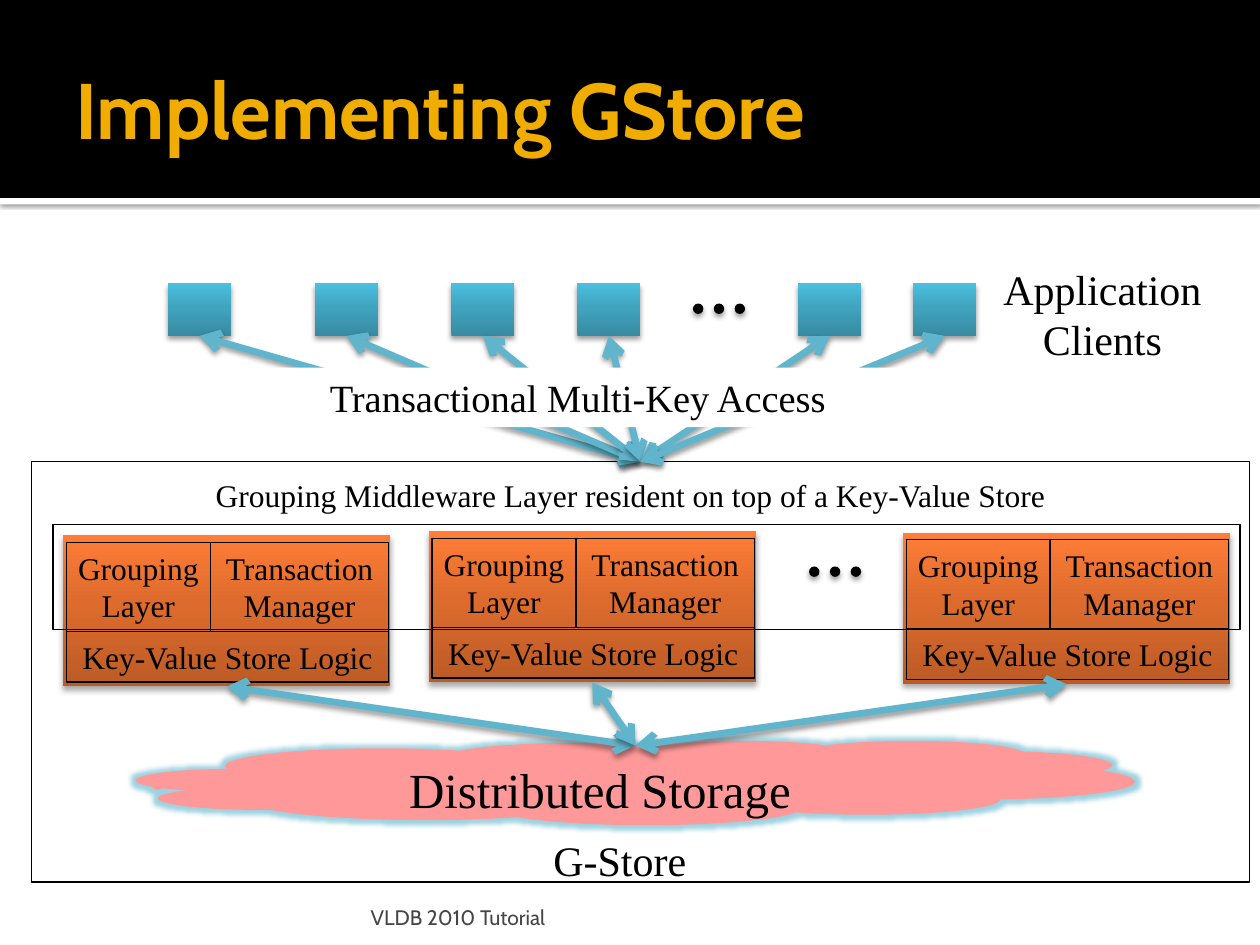
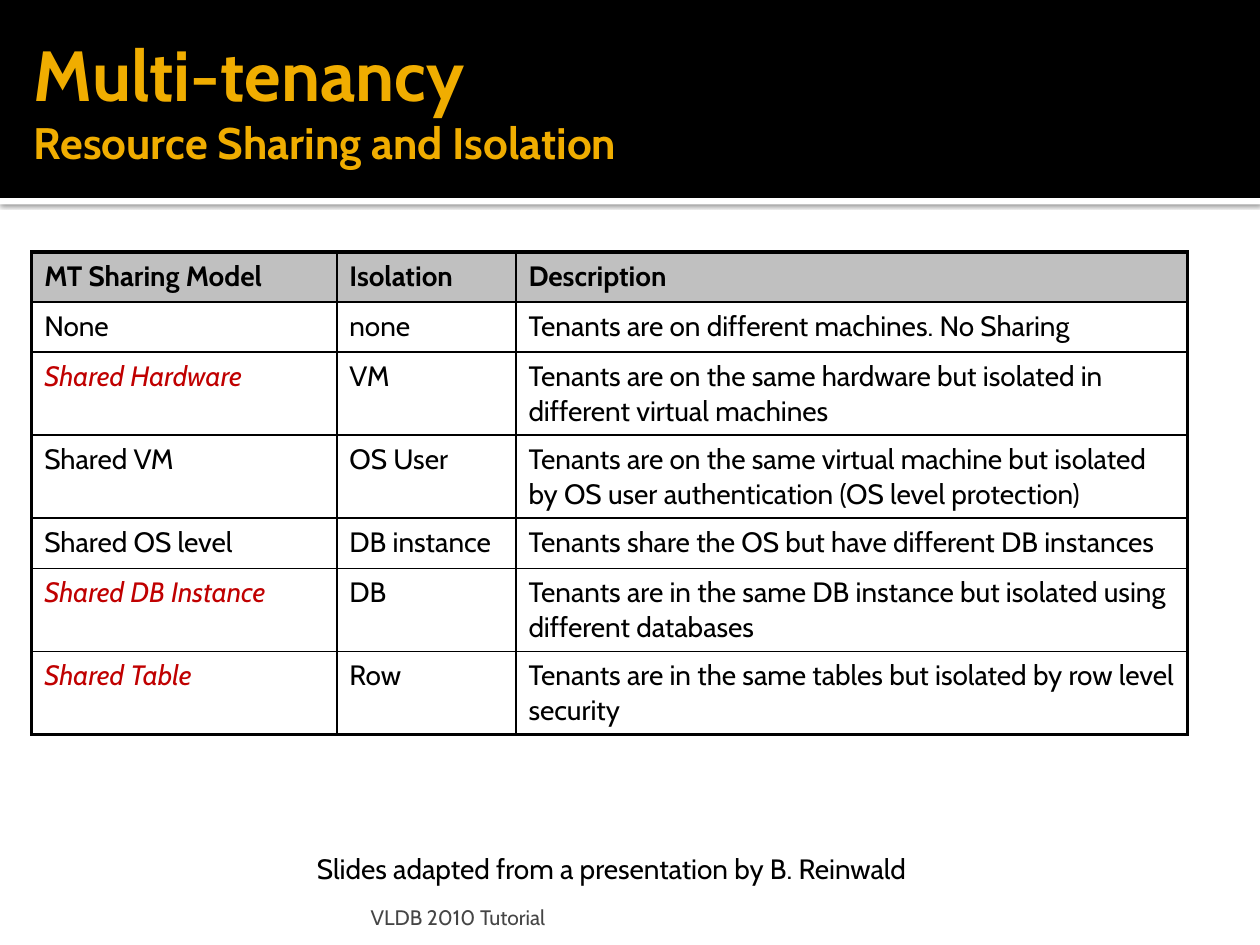
from copy import deepcopy

from lxml import etree
from pptx import Presentation
from pptx import util as u
from pptx.dml.color import RGBColor
from pptx.enum import shapes, text
from pptx.oxml.ns import qn

SANS, SERIF = "Cabin", "Times New Roman"
BLACK, WHITE, GOLD, RED = "000000", "FFFFFF", "F0AD00", "C00000"
SKY, PINK, SILVER, SLATE = "60B5CC", "FF9999", "C0C0C0", "454545"
ORANGE_FADE = ["BC5B26", "DD6B2D", "FF7D37"]
BLUE_FADE = ["378BA2", "41A4BF", "4BBFDE"]
FADE_STOPS = [0, 0.55, 1]
SOFT_SHADOW = (38, 3.1, 2)
SERVER_SHADOW = (32, 3.5, 2.2)
BAND_SHADOW = (60, 2.5, 0.8)
INSETS = (0.25, 0.13, 0.25, 0.13)
NARROW = (0, 0.13, 0, 0.13)
FLAT = (0.25, 0, 0.25, 0)
LEFT, CENTER = text.PP_ALIGN.LEFT, text.PP_ALIGN.CENTER
TOP, MIDDLE, BOTTOM = text.MSO_ANCHOR.TOP, text.MSO_ANCHOR.MIDDLE, text.MSO_ANCHOR.BOTTOM
RECTANGLE = shapes.MSO_SHAPE.RECTANGLE

SHARING_MODELS = [
    ("MT Sharing Model", "Isolation", "Description"),
    ("None", "none", "Tenants are on different machines. No Sharing"),
    ("Shared Hardware", "VM",
     "Tenants are on the same hardware but isolated in different virtual machines"),
    ("Shared VM", "OS User",
     "Tenants are on the same virtual machine but isolated by OS user "
     "authentication (OS level protection)"),
    ("Shared OS level", "DB instance", "Tenants share the OS but have different DB instances"),
    ("Shared DB Instance", "DB",
     "Tenants are in the same DB instance but isolated using different databases"),
    ("Shared Table", "Row", "Tenants are in the same tables but isolated by row level security"),
]
HIGHLIGHTED = {"Shared Hardware", "Shared DB Instance", "Shared Table"}
COLUMN_WIDTHS = [6.15, 3.61, 13.54]
ROW_HEIGHTS = [1.01, 1.01, 1.67, 1.67, 1.01, 1.67, 1.67]


def rgb(color):
    return RGBColor.from_string(color)


def lengths(values):
    return [u.Cm(value) for value in values]


def add_color(parent, color, alpha=100):
    element = etree.SubElement(parent, qn("a:srgbClr"), val=color)
    if alpha < 100:
        etree.SubElement(element, qn("a:alpha"), val=str(alpha * 1000))


def add_shadow(effects, alpha, blur, distance):
    shadow = etree.SubElement(
        effects, qn("a:outerShdw"), blurRad=str(u.Pt(blur)), dist=str(u.Pt(distance)),
        dir="5400000", rotWithShape="0")
    add_color(shadow, BLACK, alpha)


def add_run(paragraph, words, size, color=BLACK, font=SERIF, bold=False, italic=False):
    run = paragraph.add_run()
    run.text = words
    run.font.name, run.font.size = font, u.Pt(size)
    run.font.bold, run.font.italic = bold, italic
    run.font.color.rgb = rgb(color)


def set_frame(shape, insets=INSETS, anchor=TOP, align=CENTER):
    frame = shape.text_frame
    frame.word_wrap = True
    frame.auto_size = text.MSO_AUTO_SIZE.NONE
    frame.vertical_anchor = anchor
    (frame.margin_left, frame.margin_top,
     frame.margin_right, frame.margin_bottom) = lengths(insets)
    paragraph = frame.paragraphs[0]
    paragraph.alignment = align
    return paragraph


def fill_gradient(shape, colors):
    shape.fill.gradient()
    shape.fill.gradient_angle = 90
    stop_list = shape._element.spPr.find(".//" + qn("a:gsLst"))
    stop_list.insert(1, deepcopy(stop_list[0]))
    for stop, position, color in zip(shape.fill.gradient_stops, FADE_STOPS, colors):
        stop.position = position
        stop.color.rgb = rgb(color)


def add_box(slide, box, fill=None, outline=None, shadow=None, kind=RECTANGLE):
    shape = slide.shapes.add_shape(kind, *lengths(box))
    shape.shadow.inherit = False
    if isinstance(fill, list):
        fill_gradient(shape, fill)
    elif fill:
        shape.fill.solid()
        shape.fill.fore_color.rgb = rgb(fill)
    else:
        shape.fill.background()
    if outline:
        shape.line.color.rgb = rgb(outline)
        shape.line.width = u.Pt(0.75)
    else:
        shape.line.fill.background()
    if shadow:
        add_shadow(shape._element.spPr.find(qn("a:effectLst")), *shadow)
    return shape


def add_label(slide, box, words, size, insets=INSETS, fill=None, outline=None):
    shape = add_box(slide, box, fill, outline)
    add_run(set_frame(shape, insets), words, size)


def add_note(slide, box, words, size, color=BLACK, font=SANS, insets=INSETS,
             anchor=TOP, align=LEFT):
    note = slide.shapes.add_textbox(*lengths(box))
    add_run(set_frame(note, insets, anchor, align), words, size, color, font)


def add_double_arrow(slide, start_shape, end_shape=None, end=(0, 0)):
    arrow = slide.shapes.add_connector(
        shapes.MSO_CONNECTOR.STRAIGHT, 0, 0, *lengths(end))
    arrow.begin_connect(start_shape, 2)
    if end_shape is not None:
        arrow.end_connect(end_shape, 0)
    arrow.line.color.rgb = rgb(SKY)
    arrow.line.width = u.Pt(3.82)
    for tip in ("a:headEnd", "a:tailEnd"):
        etree.SubElement(arrow.line._get_or_add_ln(), qn(tip), type="arrow")
    add_shadow(etree.SubElement(arrow._element.spPr, qn("a:effectLst")), *SOFT_SHADOW)


def add_dots(slide, left, top):
    for index in range(3):
        add_box(slide, (left + index * 0.42, top, 0.21, 0.21), BLACK,
                shadow=SOFT_SHADOW, kind=shapes.MSO_SHAPE.OVAL)


def add_bands(slide):
    add_box(slide, (0, 3.99, 25.4, 0.13), WHITE, shadow=BAND_SHADOW)
    add_box(slide, (0, 0, 25.4, 3.99), BLACK)


def start_slide(presentation, title_box, title_lines):
    slide = presentation.slides.add_slide(presentation.slide_layouts[5])
    add_bands(slide)
    title = slide.shapes.title
    slide.shapes._spTree.append(title._element)
    title.left, title.top, title.width, title.height = lengths(title_box)
    paragraph = set_frame(title, (0.25, 0.13, 0.13, 0.13), MIDDLE, LEFT)
    for index, (words, size) in enumerate(title_lines):
        if index:
            paragraph.add_line_break()
        add_run(paragraph, words, size, GOLD, SANS, bold=True)
    add_note(slide, (7.34, 17.98, 15.29, 0.76), "VLDB 2010 Tutorial", 12, SLATE,
             insets=(0.13, 0.13, 0.13, 0), anchor=BOTTOM)
    return slide


def add_server(slide, left, top):
    server = add_box(slide, (left, top, 6.6, 3.05), ORANGE_FADE, shadow=SERVER_SHADOW)
    x, y = left + 0.07, top + 0.14
    add_label(slide, (x, y, 2.9, 1.8), "Grouping Layer", 18, NARROW, outline=BLACK)
    add_label(slide, (x + 2.9, y, 3.6, 1.8), "Transaction Manager", 18, NARROW, outline=BLACK)
    add_label(slide, (x, y + 1.8, 6.5, 1.02), "Key-Value Store Logic", 18, outline=BLACK)
    return server


def add_storage(slide, box):
    cloud = add_box(slide, box, PINK, kind=shapes.MSO_SHAPE.CLOUD_CALLOUT)
    cloud.adjustments[0], cloud.adjustments[1] = -0.43, 0
    effects = cloud._element.spPr.find(qn("a:effectLst"))
    glow = etree.SubElement(effects, qn("a:glow"), rad=str(u.Pt(5)))
    add_color(glow, SKY, 60)
    add_run(set_frame(cloud), "Distributed Storage", 28)


def add_clients(slide, top, store):
    clients = [add_box(slide, (left, top, 1.27, 1.06), BLUE_FADE, shadow=SOFT_SHADOW)
               for left in (3.39, 6.35, 9.1, 11.64, 16.09, 18.41)]
    add_dots(slide, 13.97, top + 0.41)
    add_note(slide, (19.9, top - 0.53, 4.65, 2.31), "Application Clients", 24,
             font=SERIF, align=CENTER)
    for client in clients:
        add_double_arrow(slide, client, store)
    add_label(slide, (4.24, top + 1.7, 14.82, 1.2), "Transactional Multi-Key Access",
              22, NARROW, fill=WHITE)


def add_store(slide, box):
    left, top, width, height = box
    add_storage(slide, (left + 2.11, top + 5.62, 20.12, 1.7))
    store = add_box(slide, box, outline=BLACK)
    servers = [add_server(slide, left + x, top + y)
               for x, y in ((0.63, 1.48), (8, 1.4), (17.56, 1.43))]
    add_dots(slide, left + 15.67, top + 2.11)
    for server in servers:
        add_double_arrow(slide, server, end=(left + 12.17, top + 5.72))
    add_label(slide, (left + 2.97, top + 0.29, 18.21, 0.76),
              "Grouping Middleware Layer resident on top of a Key-Value Store",
              18, FLAT, fill=WHITE)
    add_box(slide, (left + 0.43, top + 1.27, 23.93, 2.11), outline=BLACK)
    add_note(slide, (left + 4.45, top + 7.52, 14.81, 1.02), "G-Store", 24,
             font=SERIF, insets=FLAT, align=CENTER)
    return store


def set_borders(cell, row, column, last_row, last_column):
    outer_sides = {"L": column == 0, "R": column == last_column,
                   "T": row == 0, "B": row == last_row}
    properties = cell._tc.get_or_add_tcPr()
    for side, is_outer in outer_sides.items():
        width = u.Pt(2.25 if is_outer else 1)
        border = etree.SubElement(properties, qn("a:ln" + side), w=str(width))
        add_color(etree.SubElement(border, qn("a:solidFill")), BLACK)


def add_sharing_table(slide, left, top):
    row_count, column_count = len(ROW_HEIGHTS), len(COLUMN_WIDTHS)
    table = slide.shapes.add_table(
        row_count, column_count,
        *lengths((left, top, sum(COLUMN_WIDTHS), sum(ROW_HEIGHTS)))).table
    table.first_row = table.horz_banding = False
    for column, width in zip(table.columns, COLUMN_WIDTHS):
        column.width = u.Cm(width)
    for row, height in zip(table.rows, ROW_HEIGHTS):
        row.height = u.Cm(height)
    for row, values in enumerate(SHARING_MODELS):
        for column, words in enumerate(values):
            cell = table.cell(row, column)
            set_borders(cell, row, column, row_count - 1, column_count - 1)
            if row == 0:
                cell.fill.solid()
                cell.fill.fore_color.rgb = rgb(SILVER)
            else:
                cell.fill.background()
            paragraph = cell.text_frame.paragraphs[0]
            paragraph.line_spacing = 1.04
            paragraph.space_before = u.Pt(3.2)
            highlighted = words in HIGHLIGHTED
            add_run(paragraph, words, 16, RED if highlighted else BLACK, SANS,
                    bold=row == 0, italic=highlighted)


def build_architecture_slide(presentation):
    slide = start_slide(presentation, (1.27, 0.43, 22.86, 3.48),
                        [("Implementing GStore", 45)])
    store = add_store(slide, (0.64, 9.31, 24.55, 8.47))
    add_clients(slide, 5.71, store)


def build_tenancy_slide(presentation):
    slide = start_slide(presentation, (0.43, 0.64, 22.91, 2.74),
                        [("Multi-tenancy", 40.5), ("Resource Sharing and Isolation", 25.2)])
    add_sharing_table(slide, 0.64, 5.08)
    add_note(slide, (6.14, 17.04, 16.51, 0.94),
             "Slides adapted from a presentation by B. Reinwald", 16)


def main():
    presentation = Presentation()
    presentation.slide_width, presentation.slide_height = lengths((25.4, 19.05))
    build_architecture_slide(presentation)
    build_tenancy_slide(presentation)
    presentation.save("out.pptx")


if __name__ == "__main__":
    main()
